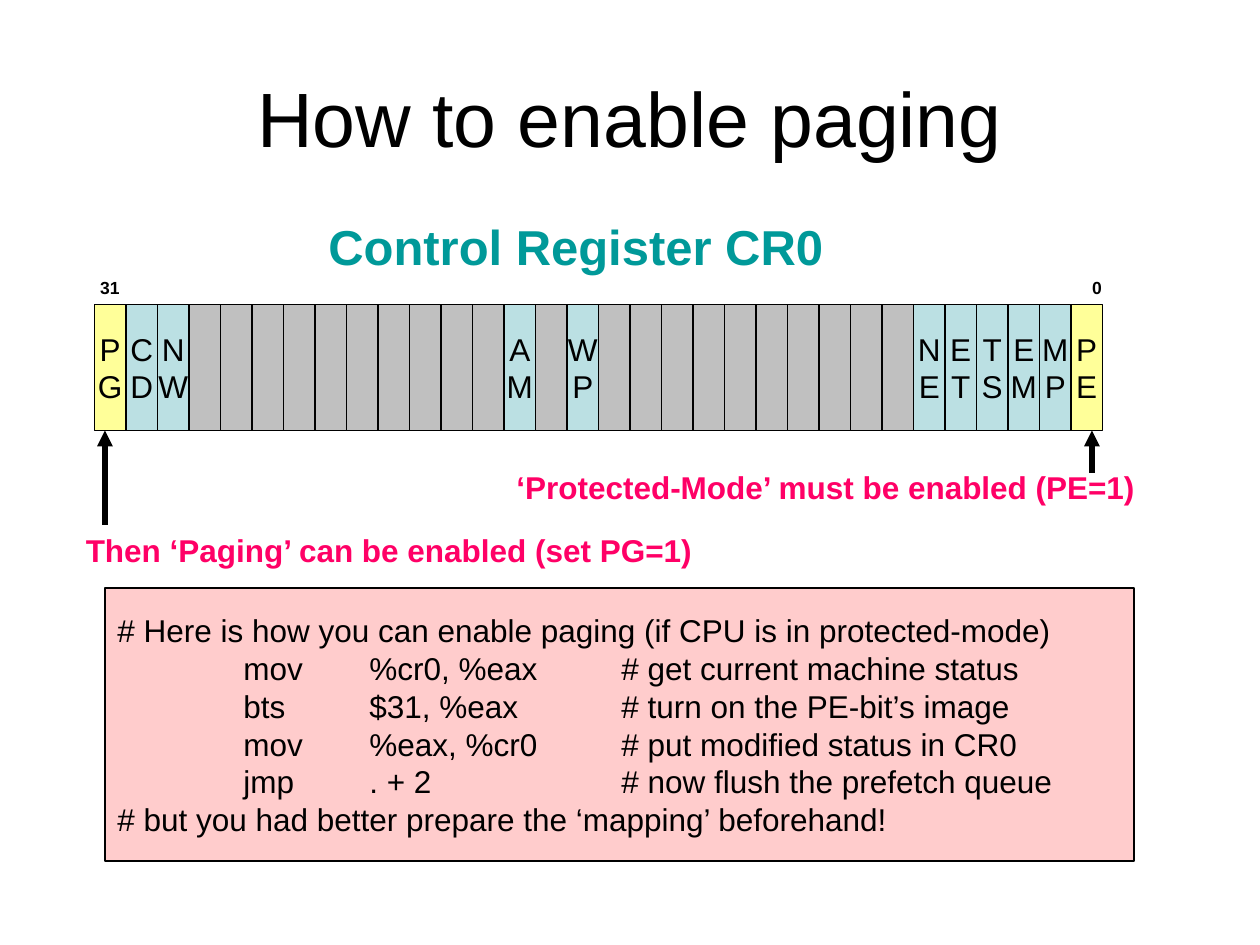
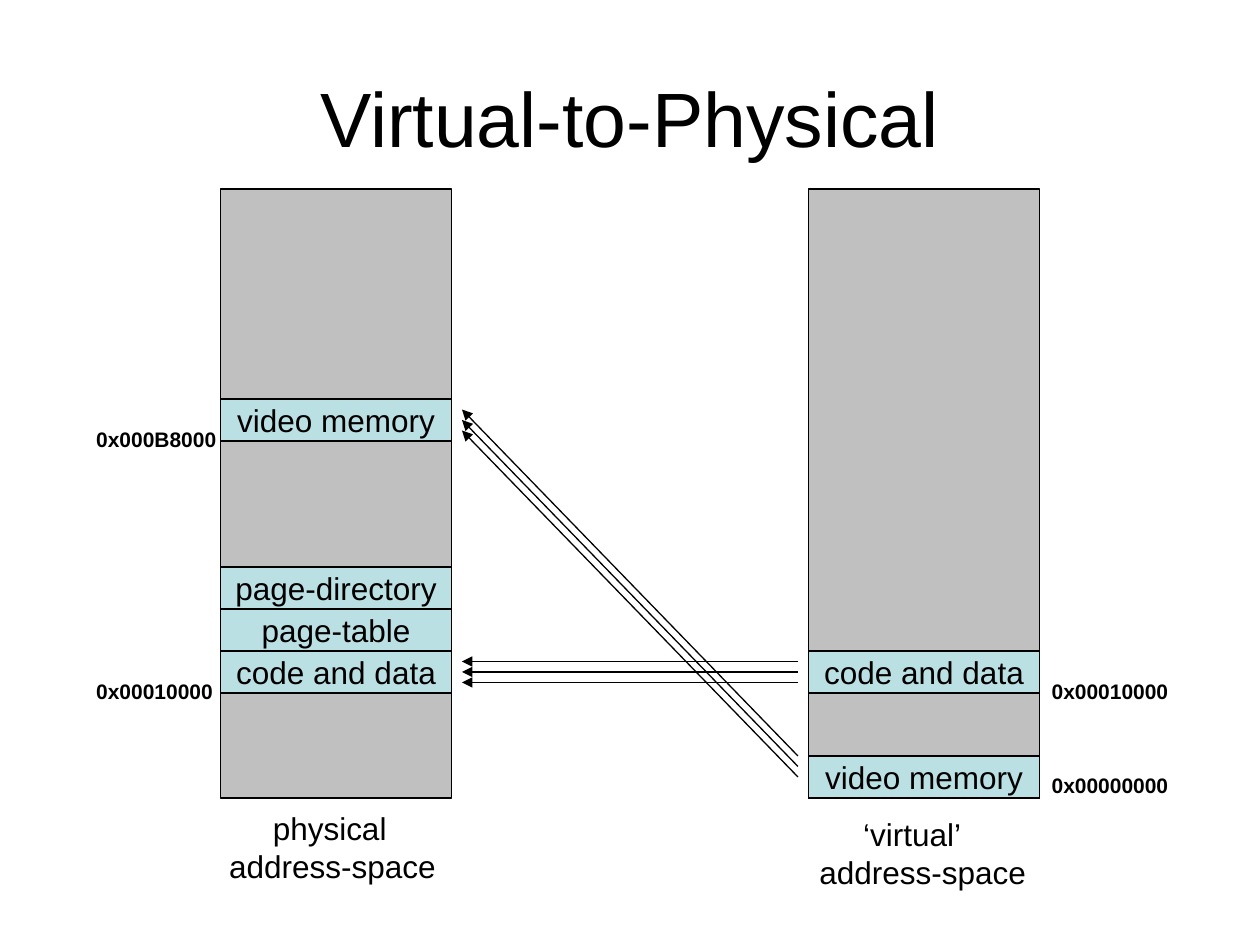
from dataclasses import dataclass

from lxml.etree import SubElement
from pptx import Presentation
from pptx.dml.color import RGBColor
from pptx.enum.shapes import MSO_CONNECTOR as Connector, MSO_SHAPE as Shape
from pptx.enum.text import MSO_ANCHOR as Anchor, MSO_AUTO_SIZE as AutoSize, PP_ALIGN as Align
from pptx.oxml.ns import qn
from pptx.util import Cm, Length, Pt

# Shared style
FONT = "Arial"
BLACK = RGBColor(0x00, 0x00, 0x00)
TEAL = RGBColor(0x00, 0x99, 0x99)
PINK = RGBColor(0xFF, 0x00, 0x66)
YELLOW = RGBColor(0xFF, 0xFF, 0x99)
PALE_BLUE = RGBColor(0xBB, 0xE0, 0xE3)
GREY = RGBColor(0xC0, 0xC0, 0xC0)
ROSE = RGBColor(0xFF, 0xCC, 0xCC)
THIN = 0.75
THICK = 3

# Control register: names by bit number
BIT_COUNT = 32
BITS = {31: "PG", 30: "CD", 29: "NW", 18: "AM", 16: "WP",
        5: "NE", 4: "ET", 3: "TS", 2: "EM", 1: "MP", 0: "PE"}
KEY_BITS = ("PG", "PE")

PAGING_CODE = """# Here is how you can enable paging (if CPU is in protected-mode)
\tmov\t%cr0, %eax\t# get current machine status
\tbts\t$31, %eax\t# turn on the PE-bit’s image
\tmov\t%eax, %cr0\t# put modified status in CR0
\tjmp\t. + 2\t# now flush the prefetch queue
# but you had better prepare the ‘mapping’ beforehand!"""
CODE_TABS = ((2.54, "l"), (5.08, "l"), (10.16, "l"))


@dataclass(frozen=True)
class Block:
    """A filled rectangle, measured in grid steps."""
    left: float
    top: float
    width: float
    height: float
    fill: RGBColor = PALE_BLUE
    text: str = ""


@dataclass(frozen=True)
class Label:
    """Free text, measured in centimetres."""
    text: str
    left: float
    top: float
    width: float
    height: float
    size: float = 18
    color: RGBColor = BLACK
    bold: bool = True
    indents: tuple = ()


@dataclass(frozen=True)
class Arrow:
    """An arrow from start to end, measured in grid steps."""
    start: tuple
    end: tuple
    weight: float = THIN


def grid(steps: float) -> Length:
    """Twelve grid steps make 2.54 cm."""
    return Cm(2.54 * steps / 12)


def write(frame, text: str, *, size: float = 18, color: RGBColor = BLACK,
          bold: bool = False, align=Align.LEFT, anchor=Anchor.TOP,
          wrap: bool = False, auto_size=AutoSize.NONE,
          tabs: tuple = (), indents: tuple = ()) -> None:
    frame.word_wrap = wrap
    frame.auto_size = auto_size
    frame.vertical_anchor = anchor
    for index, line in enumerate(text.split("\n")):
        paragraph = frame.add_paragraph() if index else frame.paragraphs[0]
        properties = paragraph._p.get_or_add_pPr()
        if indents:
            properties.set("marL", str(Cm(indents[index])))
        if tabs:
            tab_list = SubElement(properties, qn("a:tabLst"))
            for position, kind in tabs:
                SubElement(tab_list, qn("a:tab"), pos=str(Cm(position)), algn=kind)
        paragraph.alignment = align
        run = paragraph.add_run()
        run.text = line
        run.font.name = FONT
        run.font.size = Pt(size)
        run.font.bold = bold
        run.font.color.rgb = color


def add_titled_slide(deck, title: str):
    slide = deck.slides.add_slide(deck.slide_layouts[5])
    heading = slide.shapes.title
    heading.left, heading.top = Cm(1.27), Cm(0.76)
    heading.width, heading.height = Cm(22.86), Cm(3.18)
    write(heading.text_frame, title, size=44, align=Align.CENTER,
          anchor=Anchor.MIDDLE, wrap=True)
    return slide


def draw_block(slide, block: Block, **text_format) -> None:
    box = slide.shapes.add_shape(Shape.RECTANGLE, grid(block.left), grid(block.top),
                                 grid(block.width), grid(block.height))
    box.shadow.inherit = False
    box.fill.solid()
    box.fill.fore_color.rgb = block.fill
    box.line.color.rgb = BLACK
    box.line.width = Pt(THIN)
    if block.text:
        text_format = {"align": Align.CENTER, "anchor": Anchor.MIDDLE} | text_format
        write(box.text_frame, block.text, **text_format)


def draw_label(slide, label: Label) -> None:
    box = slide.shapes.add_textbox(Cm(label.left), Cm(label.top),
                                   Cm(label.width), Cm(label.height))
    write(box.text_frame, label.text, size=label.size, color=label.color,
          bold=label.bold, indents=label.indents, auto_size=AutoSize.SHAPE_TO_FIT_TEXT)


def draw_arrow(slide, arrow: Arrow) -> None:
    points = [grid(step) for step in (*arrow.start, *arrow.end)]
    line = slide.shapes.add_connector(Connector.STRAIGHT, *points)
    line.line.color.rgb = BLACK
    line.line.width = Pt(arrow.weight)
    SubElement(line.line._get_or_add_ln(), qn("a:tailEnd"), type="triangle")
    SubElement(line._element.spPr, qn("a:effectLst"))


def build_paging_slide(deck) -> None:
    slide = add_titled_slide(deck, "How to enable paging")

    # Register bits, highest first
    for column in range(BIT_COUNT):
        name = BITS.get(BIT_COUNT - 1 - column, "")
        fill = YELLOW if name in KEY_BITS else PALE_BLUE if name else GREY
        draw_block(slide, Block(9 + 3 * column, 29, 3, 12, fill, "\n".join(name)))

    # Bit numbers at both ends of the register
    bit_numbers = slide.shapes.add_textbox(Cm(1.37), Cm(5.46), Cm(21.11), Cm(0.69))
    bit_numbers.text_frame.margin_left = Cm(0.65)
    bit_numbers.text_frame.margin_right = 0
    write(bit_numbers.text_frame, "31\t0", size=10, bold=True, wrap=True,
          tabs=((20.19, "r"),))

    # Heading and the two steps
    for label in (
        Label("Control Register CR0", 6.37, 4.24, 10.7, 1.45, 28, TEAL),
        Label("‘Protected-Mode’ must be enabled (PE=1)", 10.16, 9.31, 13.1, 1.02, color=PINK),
        Label("Then ‘Paging’ can be enabled (set PG=1)", 1.48, 10.58, 12.9, 1.02, color=PINK),
    ):
        draw_label(slide, label)
    draw_arrow(slide, Arrow((104, 45), (104, 41), THICK))
    draw_arrow(slide, Arrow((10, 50), (10, 41), THICK))

    # Code listing
    draw_block(slide, Block(10, 56, 98, 26, ROSE, PAGING_CODE),
               align=Align.LEFT, wrap=True, tabs=CODE_TABS)


def build_mapping_slide(deck) -> None:
    slide = add_titled_slide(deck, "Virtual-to-Physical")

    # Address spaces with their used regions
    physical_left, virtual_left, space_width = 21, 77, 22
    regions = {
        physical_left: {"video memory": 38, "page-directory": 54,
                        "page-table": 58, "code and data": 62},
        virtual_left: {"code and data": 62, "video memory": 72},
    }
    for left, tops in regions.items():
        draw_block(slide, Block(left, 18, space_width, 58, GREY))
        for name, top in tops.items():
            draw_block(slide, Block(left, top, space_width, 4, text=name))

    # Mapping arrows, three per region
    for virtual_top, physical_top in ((63, 63), (72, 39)):
        for step in range(3):
            draw_arrow(slide, Arrow((virtual_left - 1, virtual_top + step),
                                    (physical_left + space_width + 1, physical_top + step)))

    # Captions
    for name, left, top in (("physical", 4.19, 16.19), ("‘virtual’", 16.09, 16.3)):
        draw_label(slide, Label(f"{name}\naddress-space", left, top, 4.9, 1.78,
                                bold=False, indents=(1.06, 0.18)))

    # Addresses
    for address, left, top in (
        ("0x000B8000", 1.69, 8.47),
        ("0x00010000", 1.69, 13.55),
        ("0x00010000", 20.95, 13.55),
        ("0x00000000", 20.95, 15.45),
    ):
        draw_label(slide, Label(address, left, top, 3.1, 0.76, 12))


def main() -> None:
    deck = Presentation()
    deck.slide_width, deck.slide_height = Cm(25.4), Cm(19.05)
    build_paging_slide(deck)
    build_mapping_slide(deck)
    deck.save("out.pptx")


if __name__ == "__main__":
    main()
